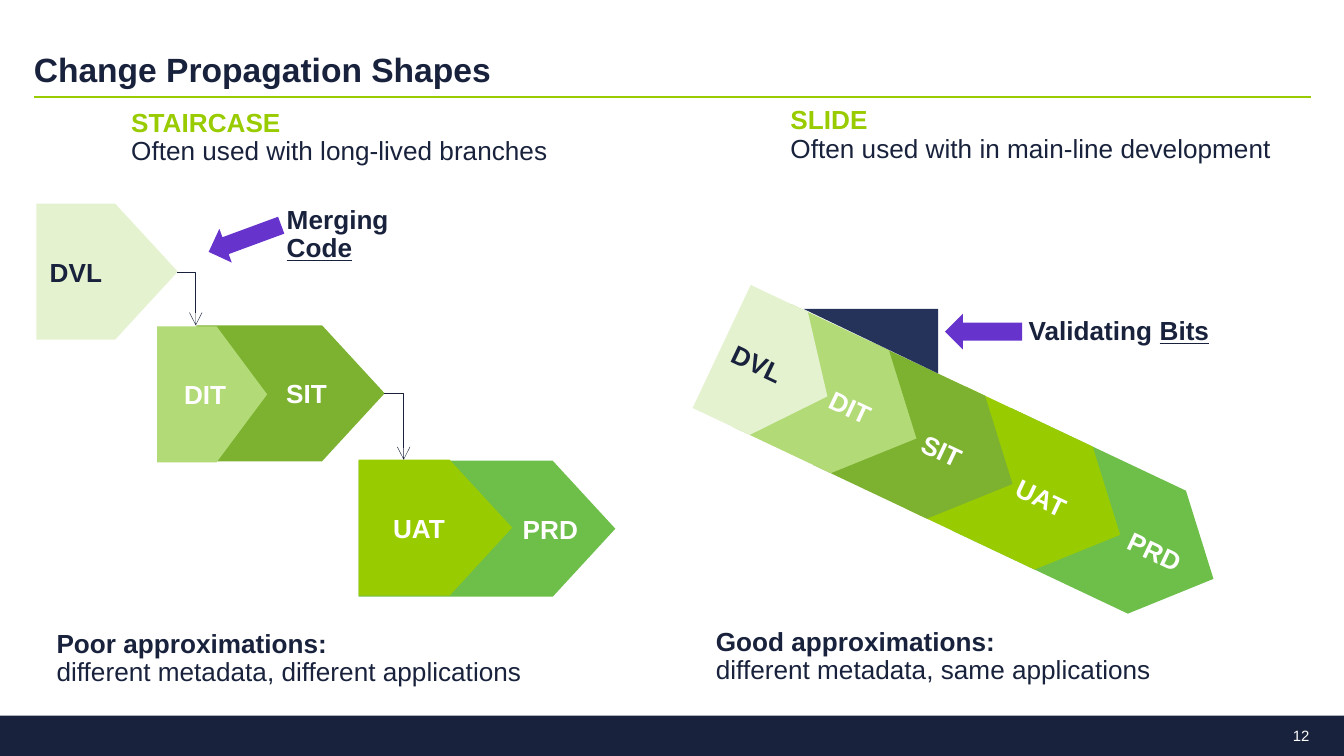
from dataclasses import dataclass
from math import cos, radians, sin

from lxml import etree
from pptx import Presentation
from pptx.dml.color import RGBColor
from pptx.enum.shapes import MSO_CONNECTOR, MSO_SHAPE
from pptx.enum.text import MSO_ANCHOR, PP_ALIGN
from pptx.oxml.ns import qn
from pptx.util import Cm, Pt

RECTANGLE, PENTAGON = MSO_SHAPE.RECTANGLE, MSO_SHAPE.PENTAGON
TRIANGLE, LEFT_ARROW = MSO_SHAPE.RIGHT_TRIANGLE, MSO_SHAPE.LEFT_ARROW
STRAIGHT, ELBOW = MSO_CONNECTOR.STRAIGHT, MSO_CONNECTOR.ELBOW
TOP, MIDDLE, BOTTOM = MSO_ANCHOR.TOP, MSO_ANCHOR.MIDDLE, MSO_ANCHOR.BOTTOM
LEFT, RIGHT = PP_ALIGN.LEFT, PP_ALIGN.RIGHT


@dataclass(frozen=True)
class Theme:
    font: str = "Arial"
    title_size: float = 18
    body_size: float = 14
    page_size: float = 8
    ink: str = "19223C"
    white: str = "FFFFFF"
    accent: str = "99CC00"
    wedge: str = "25335A"
    arrow: str = "6633CC"
    # Fill of each environment
    stages = {"DVL": "E4F2CF", "DIT": "B2DA77", "SIT": "7DB130",
              "UAT": "99CC00", "PRD": "6EBE4A"}


class SlideBuilder:
    def __init__(self, slide, theme):
        self.shapes = slide.shapes
        self.theme = theme

    def fill_text(self, frame, lines, size, spacing=0.9, align=LEFT):
        """Each line is a list of (text, format values) spans."""
        for index, line in enumerate(lines):
            para = frame.paragraphs[0] if index == 0 else frame.add_paragraph()
            para.alignment = align
            para.line_spacing = spacing
            for text, formats in line:
                span = para.add_run()
                span.text = text
                values = {"name": self.theme.font, "size": Pt(size),
                          "color": self.theme.ink, **formats}
                color = values.pop("color")
                for name, value in values.items():
                    setattr(span.font, name, value)
                span.font.color.rgb = RGBColor.from_string(color)

    def text(self, left, top, width, height, lines, size=None, anchor=TOP,
             wrap=False, **options):
        box = self.shapes.add_textbox(Cm(left), Cm(top), Cm(width), Cm(height))
        frame = box.text_frame
        formats = {"word_wrap": wrap, "vertical_anchor": anchor,
                   "margin_left": 0, "margin_right": 0,
                   "margin_top": 0, "margin_bottom": 0}
        for name, value in formats.items():
            setattr(frame, name, value)
        self.fill_text(frame, lines, size or self.theme.body_size, **options)

    def shape(self, kind, left, top, width, height, fill, rotation=0, parent=None):
        shape = (parent or self.shapes).add_shape(
            kind, Cm(left), Cm(top), Cm(width), Cm(height))
        shape.fill.solid()
        shape.fill.fore_color.rgb = RGBColor.from_string(fill)
        shape.line.fill.background()
        shape.shadow.inherit = False
        shape.rotation = rotation
        return shape

    def stage(self, name, left, top, width, label_inset, rotation=0, parent=None):
        plate = self.shape(PENTAGON, left, top, width, PLATE_HEIGHT,
                           self.theme.stages[name], rotation, parent)
        plate.adjustments[0] = 0.46
        frame = plate.text_frame
        formats = {"word_wrap": True, "vertical_anchor": MIDDLE,
                   "margin_left": Cm(label_inset), "margin_right": 0}
        for key, value in formats.items():
            setattr(frame, key, value)
        color = self.theme.ink if name == "DVL" else self.theme.white
        self.fill_text(frame, [[(name, {"bold": True, "color": color})]],
                       self.theme.body_size, spacing=1)

    def line(self, kind, start, end, color, width):
        line = self.shapes.add_connector(kind, *(Cm(v) for v in (*start, *end)))
        line.line.color.rgb = RGBColor.from_string(color)
        line.line.width = Pt(width)
        etree.SubElement(line._element.spPr, qn("a:effectLst"))
        return line

    def step(self, start, end):
        """One-corner connector: across, then down to an arrowhead."""
        line = self.line(ELBOW, start, end, self.theme.ink, 0.25)
        properties = line._element.spPr
        properties.find(qn("a:prstGeom")).set("prst", "bentConnector2")
        etree.SubElement(properties.find(qn("a:ln")), qn("a:tailEnd"), type="arrow")


PLATE_HEIGHT = 2.57
SLOPE = 25.3
BOLD = {"bold": True}
UNDERLINED = {"bold": True, "underline": True}


def main():
    deck = Presentation()
    deck.slide_width, deck.slide_height = Cm(25.4), Cm(14.29)
    theme = Theme()
    builder = SlideBuilder(deck.slides.add_slide(deck.slide_layouts[6]), theme)
    heading = {"bold": True, "color": theme.accent}

    # Title, rule and footer
    builder.shape(RECTANGLE, 0, 13.53, 25.4, 0.76, theme.ink)
    builder.line(STRAIGHT, (0.64, 1.83), (24.77, 1.83), theme.accent, 1)
    builder.text(0.64, 0.38, 24.13, 1.32, [[("Change Propagation Shapes", BOLD)]],
                 theme.title_size, BOTTOM, wrap=True)
    builder.text(23.7, 13.53, 1.05, 0.76, [[("12", {"color": theme.white})]],
                 theme.page_size, MIDDLE, wrap=True, spacing=1, align=RIGHT)

    # Staircase: name, left, top, width, label inset
    for stage in [("SIT", 3.71, 6.15, 3.56, 1.7), ("PRD", 6.78, 8.71, 4.85, 3.1),
                  ("UAT", 6.78, 8.69, 2.9, 0.65), ("DIT", 2.97, 6.17, 2.08, 0.51),
                  ("DVL", 0.69, 3.85, 2.67, 0.25)]:
        builder.stage(*stage)
    builder.step((3.35, 5.14), (3.7, 6.15))
    builder.step((7.26, 7.44), (7.63, 8.69))

    # Slide: plates along one sloping axis, farthest first
    tail_x, tail_y = 13.64, 6.55
    across, down = cos(radians(SLOPE)), sin(radians(SLOPE))
    group = builder.shapes.add_group_shape()
    # name, distance along the axis, width, label inset
    for name, distance, width, inset in [
            ("PRD", 5.43, 4.85, 3.1), ("UAT", 4.49, 3.84, 1.7),
            ("SIT", 2.52, 3.56, 1.7), ("DIT", 0.84, 3.23, 1.45),
            ("DVL", 0, 2.21, 0.25)]:
        middle = distance + width / 2
        left = tail_x + middle * across - width / 2
        top = tail_y + middle * down - PLATE_HEIGHT / 2
        builder.stage(name, left, top, width, inset, SLOPE, group.shapes)
    builder.shape(TRIANGLE, 15.19, 5.84, 2.54, 1.22, theme.wedge, 180)

    # Headings and conclusions
    for left, top, width, first, second, style in [
            (2.48, 2.08, 8.05, "STAIRCASE", "Often used with long-lived branches", heading),
            (14.94, 2.03, 9.22, "SLIDE", "Often used with in main-line development", heading),
            (1.07, 11.92, 8.81, "Poor approximations:",
             "different metadata, different applications", BOLD),
            (13.53, 11.88, 8.25, "Good approximations:",
             "different metadata, same applications", BOLD)]:
        builder.text(left, top, width, 1.07, [[(first, style)], [(second, {})]])

    # Callouts
    for left, top, width, verb, thing in [(19.44, 6.01, 3.43, "Validating ", "Bits"),
                                          (5.42, 3.91, 3.3, "Merging ", "Code")]:
        builder.text(left, top, width, 0.53, [[(verb, BOLD), (thing, UNDERLINED)]])
    for left, top, rotation in [(17.86, 5.93, 0), (3.9, 4.17, -20.2)]:
        builder.shape(LEFT_ARROW, left, top, 1.46, 0.68, theme.arrow, rotation)

    deck.save("out.pptx")


if __name__ == "__main__":
    main()
